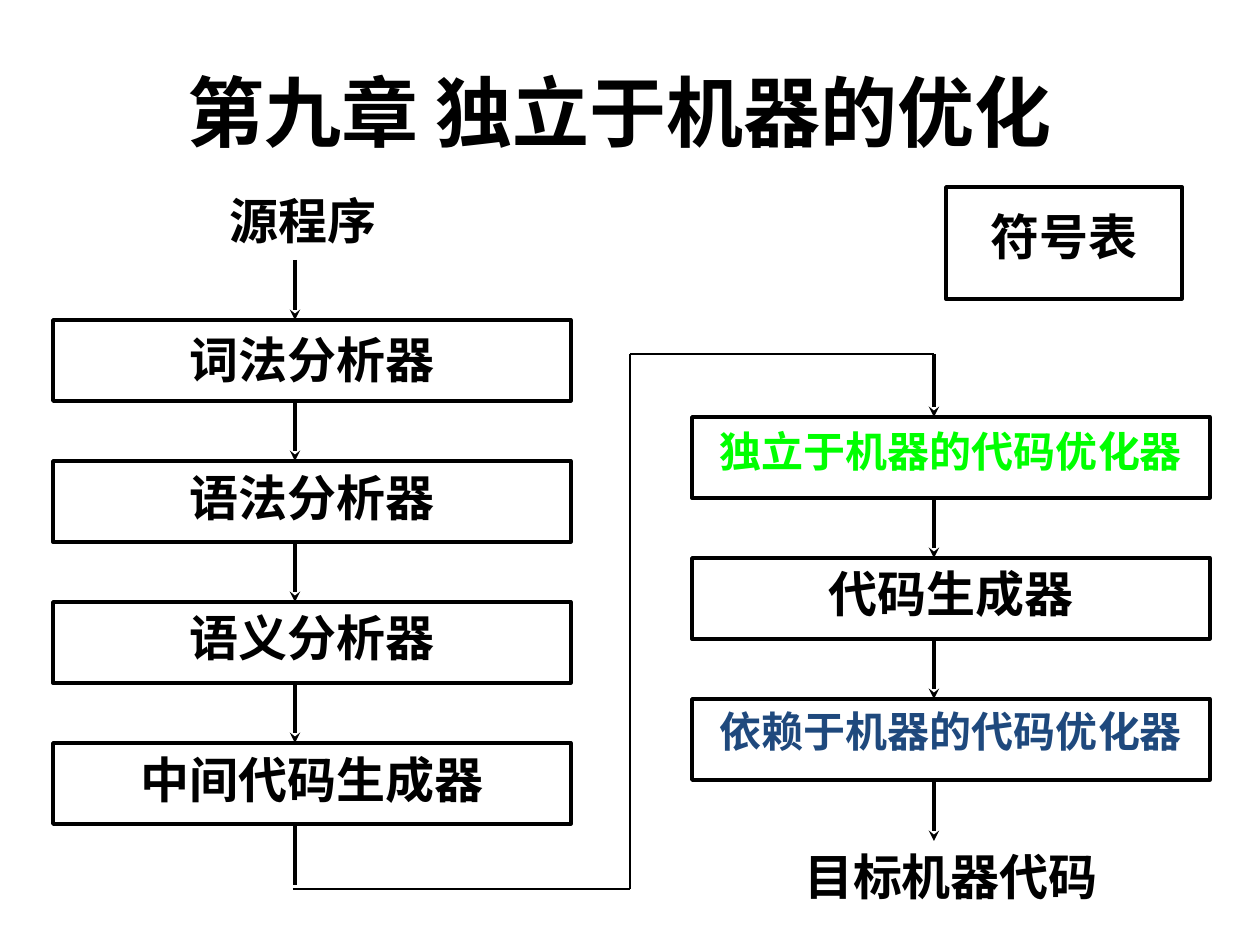
from dataclasses import dataclass
from lxml.etree import SubElement
from pptx import Presentation
from pptx.dml.color import RGBColor
from pptx.enum.shapes import MSO_CONNECTOR, MSO_SHAPE
from pptx.enum.text import MSO_ANCHOR, PP_ALIGN
from pptx.oxml.ns import qn
from pptx.util import Emu, Pt

SCALE = 914400 // 126


@dataclass(frozen=True)
class Theme:
    ink: str = "000000"
    green: str = "00FF00"
    blue: str = "1F497D"
    head: int = 44
    body: int = 28
    small: int = 24
    thick: int = 2
    thin: int = 1
    latin: str = "Times New Roman"
    mono: str = "Courier New"
    asian: str = "Noto Sans CJK SC"


THEME = Theme()
WIDE, HIGH, STEP = 518, 81, 141
LEFT, RIGHT = 53, 692
DOWN, TURN, NEXT = 295, 630, 934


def px(num):
    return Emu(num * SCALE)


def write(shape, text, size=THEME.body, color=THEME.ink, font=THEME.latin,
          top=6, anchor=MSO_ANCHOR.TOP):
    frame = shape.text_frame
    frame.word_wrap = True
    frame.vertical_anchor = anchor
    frame.margin_left = frame.margin_right = px(13)
    frame.margin_top, frame.margin_bottom = px(top), px(6)
    para = frame.paragraphs[0]
    para.alignment = PP_ALIGN.CENTER
    run = para.add_run()
    run.text = text
    run.font.size = Pt(size)
    run.font.bold = True
    run.font.name = font
    run.font.color.rgb = RGBColor.from_string(color)
    SubElement(run.font._element, qn("a:ea"), typeface=THEME.asian)


def label(slide, text, x, y, w, h, **style):
    shape = slide.shapes.add_textbox(px(x), px(y), px(w), px(h))
    write(shape, text, **style)


def box(slide, text, x, y, w=WIDE, h=HIGH, **style):
    shape = slide.shapes.add_shape(MSO_SHAPE.RECTANGLE, px(x), px(y), px(w), px(h))
    shape.shadow.inherit = False
    shape.fill.background()
    shape.line.color.rgb = RGBColor.from_string(THEME.ink)
    shape.line.width = Pt(THEME.thick)
    write(shape, text, **style)


def line(slide, start, end, width=THEME.thin, arrow=False):
    link = slide.shapes.add_connector(
        MSO_CONNECTOR.STRAIGHT, *map(px, start), *map(px, end))
    link.line.color.rgb = RGBColor.from_string(THEME.ink)
    link.line.width = Pt(width)
    if arrow:
        SubElement(link.line._get_or_add_ln(), qn("a:tailEnd"), type="stealth")
    SubElement(link._element.spPr, qn("a:effectLst"))


def drop(slide, x, top, end, arrow=True):
    line(slide, (x, top), (x, end), width=THEME.thick, arrow=arrow)


def stack(slide, x, y, mid, start, items):
    for text, style in items:
        drop(slide, mid, start, y)
        box(slide, text, x, y, **style)
        start = y + HIGH
        y += STEP
    return start


def main():
    deck = Presentation()
    deck.slide_width, deck.slide_height = px(1260), px(945)
    slide = deck.slides.add_slide(deck.slide_layouts[6])

    label(slide, "第九章 独立于机器的优化", 53, 32, 1134, 158,
          size=THEME.head, font=THEME.asian, anchor=MSO_ANCHOR.MIDDLE)
    label(slide, "源程序", 44, 185, WIDE, HIGH)
    base = stack(slide, LEFT, 320, DOWN, 260, [
        ("词法分析器", {"top": 9}),
        ("语法分析器", {}),
        ("语义分析器", {}),
        ("中间代码生成器", {}),
    ])
    drop(slide, DOWN, base, 885, arrow=False)

    bend = [(DOWN - 2, 889), (TURN, 889), (TURN, 354), (NEXT, 354)]
    for start, end in zip(bend, bend[1:]):
        line(slide, start, end)

    base = stack(slide, RIGHT, 417, NEXT, 354, [
        ("独立于机器的代码优化器",
         {"size": THEME.small, "color": THEME.green, "top": 9}),
        ("代码生成器", {}),
        ("依赖于机器的代码优化器",
         {"size": THEME.small, "color": THEME.blue, "font": THEME.mono}),
    ])
    drop(slide, NEXT, base, 841)
    label(slide, "目标机器代码", RIGHT, 841, WIDE, 72)
    box(slide, "符号表", 946, 187, 236, 112, top=20)

    deck.save("out.pptx")


if __name__ == "__main__":
    main()
